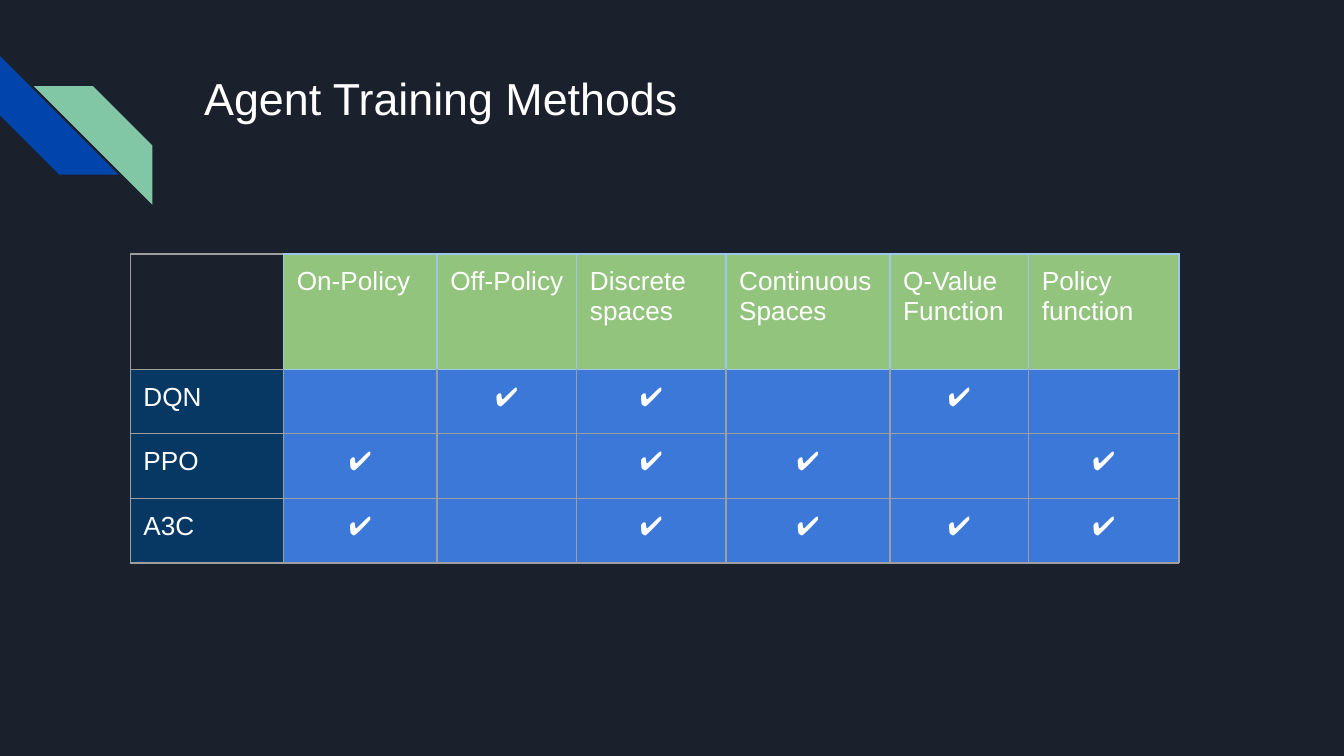
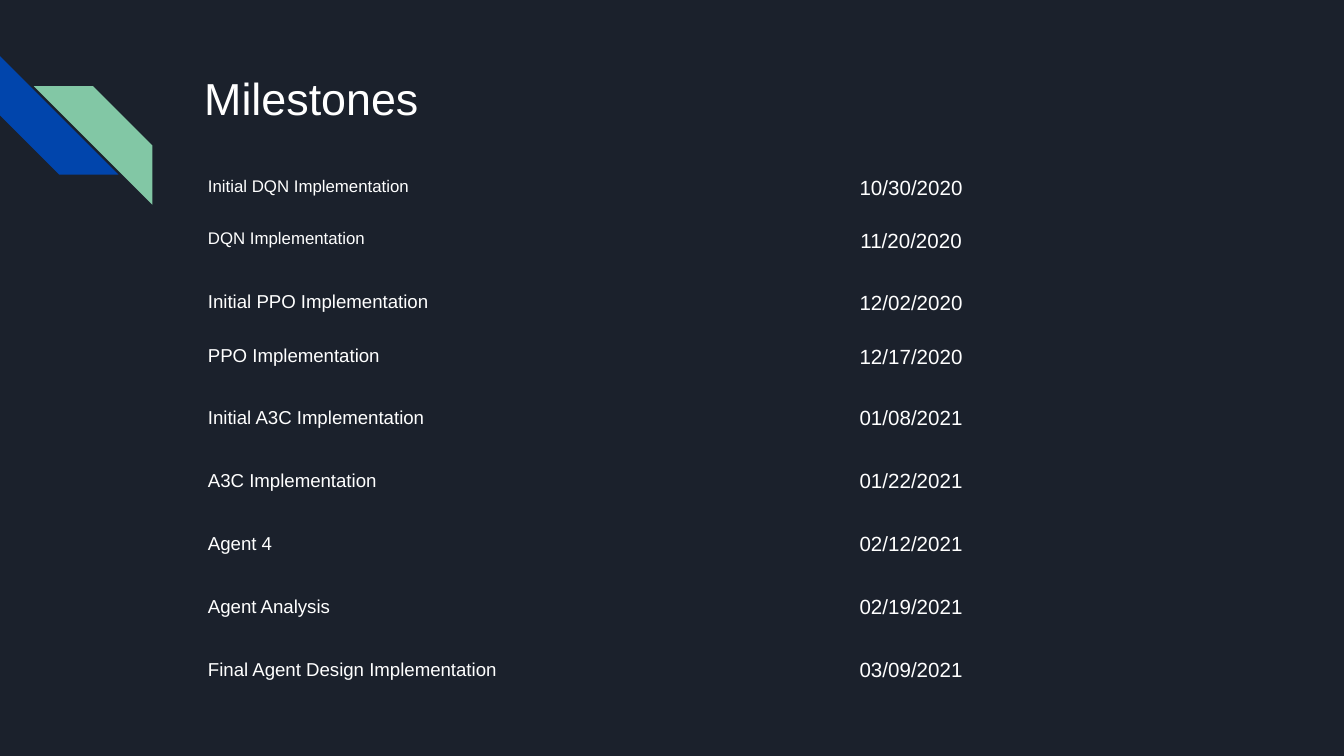
from lxml.etree import SubElement
from pptx import Presentation
from pptx.dml.color import RGBColor
from pptx.enum.shapes import MSO_SHAPE
from pptx.enum.text import PP_ALIGN
from pptx.oxml.ns import qn
from pptx.util import Cm, Pt

# Shared look
FONT = "Arial"
BACKGROUND, WHITE = "1B212C", "FFFFFF"
STRIPE_BLUE, STRIPE_GREEN = "0145AC", "82C7A5"
HEADER_GREEN, LABEL_NAVY, CELL_BLUE = "93C47D", "073763", "3C78D8"
GREY_LINE, BLUE_LINE = "9E9E9E", "9FC5E8"
INSET = Cm(0.25)
PLAIN_TABLE_STYLE = "{2D5ABB26-0587-4C30-8999-92F81FD0307C}"

# Agent training methods
METHOD_COLUMNS = [2.9, 2.9, 2.64, 2.82, 3.1, 2.62, 2.84]
METHOD_ROWS = [2.18, 1.22, 1.22, 1.22]
METHODS = [
    ["", "On-Policy", "Off-Policy", "Discrete\nspaces", "Continuous\nSpaces",
     "Q-Value\nFunction", "Policy function"],
    ["DQN", "", "✔", "✔", "", "✔", ""],
    ["PPO", "✔", "", "✔", "✔", "", "✔"],
    ["A3C", "✔", "", "✔", "✔", "✔", "✔"],
]

# Milestones: task, task text size, date, row height
MILESTONES = [
    ("Initial DQN Implementation", 9, "10/30/2020", 0.99),
    ("DQN Implementation", 9, "11/20/2020", 1.17),
    ("Initial PPO Implementation", 10, "12/02/2020", 1.02),
    ("PPO Implementation", 10, "12/17/2020", 1.17),
    ("Initial A3C Implementation", 10, "01/08/2021", 1.19),
    ("A3C Implementation", 10, "01/22/2021", 1.19),
    ("Agent 4", 10, "02/12/2021", 1.19),
    ("Agent Analysis", 10, "02/19/2021", 1.19),
    ("Final Agent Design Implementation", 10, "03/09/2021", 1.19),
]


def color(hex_text):
    return RGBColor.from_string(hex_text)


def set_fill(fill, hex_text):
    fill.solid()
    fill.fore_color.rgb = color(hex_text)


def write(holder, text, size, align=PP_ALIGN.LEFT):
    """Put text into a text box or a table cell."""
    holder.margin_left = holder.margin_right = INSET
    holder.margin_top = holder.margin_bottom = INSET
    frame = getattr(holder, "text_frame", holder)
    frame.text = text
    for paragraph in frame.paragraphs:
        paragraph.alignment = align
        for span in paragraph.runs:
            span.font.name = FONT
            span.font.size = Pt(size)
            span.font.color.rgb = color(WHITE)


def add_stripe(slide, left, top, fill, rotation=0, flipped=False):
    stripe = slide.shapes.add_shape(
        MSO_SHAPE.DIAGONAL_STRIPE, Cm(left), Cm(top), Cm(2.24), Cm(2.24))
    stripe.rotation = rotation
    stripe.shadow.inherit = False
    set_fill(stripe.fill, fill)
    stripe.line.fill.background()
    if flipped:
        stripe.element.spPr.find(qn("a:xfrm")).set("flipH", "1")


def add_page(deck, title):
    """Add a slide with the two corner stripes and its title."""
    page = deck.slides.add_slide(deck.slide_layouts[6])
    add_stripe(page, 0, 1.06, STRIPE_BLUE, rotation=270)
    add_stripe(page, 0.64, 1.63, STRIPE_GREEN, flipped=True)
    box = page.shapes.add_textbox(Cm(3.61), Cm(1.09), Cm(19.56), Cm(2.54))
    box.text_frame.word_wrap = True
    write(box.text_frame, title, 24)
    return page


def add_plain_table(slide, left, top, widths, heights):
    table = slide.shapes.add_table(
        len(heights), len(widths), Cm(left), Cm(top),
        Cm(sum(widths)), Cm(sum(heights))).table
    table.first_row = table.horz_banding = False
    table._tbl.tblPr.find(qn("a:tableStyleId")).text = PLAIN_TABLE_STYLE
    for column, width in zip(table.columns, widths):
        column.width = Cm(width)
    for row, height in zip(table.rows, heights):
        row.height = Cm(height)
    return table


def set_borders(cell, left, right, top, bottom):
    properties = cell._tc.get_or_add_tcPr()
    for side, hex_text in zip("LRTB", (left, right, top, bottom)):
        line = SubElement(properties, qn(f"a:ln{side}"), w=str(Pt(0.75)))
        solid = SubElement(line, qn("a:solidFill"))
        SubElement(solid, qn("a:srgbClr"), val=hex_text)


def style_method_cell(cell, row, column):
    """Draw borders and fill by the cell's place in the table."""
    header = row == 0 and column > 0
    base = BLUE_LINE if header else GREY_LINE
    right = BLUE_LINE if row == 0 else base
    top = BLUE_LINE if row == 1 and column > 0 else base
    set_borders(cell, base, right, top, base)
    if header:
        set_fill(cell.fill, HEADER_GREEN)
    elif row > 0:
        set_fill(cell.fill, CELL_BLUE if column else LABEL_NAVY)
    else:
        cell.fill.background()


def add_method_table(slide):
    table = add_plain_table(slide, 2.46, 4.8, METHOD_COLUMNS, METHOD_ROWS)
    for row, texts in enumerate(METHODS):
        for column, text in enumerate(texts):
            cell = table.cell(row, column)
            style_method_cell(cell, row, column)
            if text:
                centred = row > 0 and column > 0
                write(cell, text, 14, PP_ALIGN.CENTER if centred else PP_ALIGN.LEFT)


def add_milestone_table(slide):
    heights = [milestone[-1] for milestone in MILESTONES]
    table = add_plain_table(slide, 3.68, 3.1, [8.69, 9.7], heights)
    for row, (task, size, date, _) in enumerate(MILESTONES):
        write(table.cell(row, 0), task, size)
        write(table.cell(row, 1), date, 11, PP_ALIGN.CENTER)
        for column in range(2):
            table.cell(row, column).fill.background()


def main():
    deck = Presentation()
    deck.slide_width, deck.slide_height = Cm(25.4), Cm(14.29)
    set_fill(deck.slide_master.background.fill, BACKGROUND)
    add_method_table(add_page(deck, "Agent Training Methods"))
    add_milestone_table(add_page(deck, "Milestones"))
    deck.save("out.pptx")


if __name__ == "__main__":
    main()
